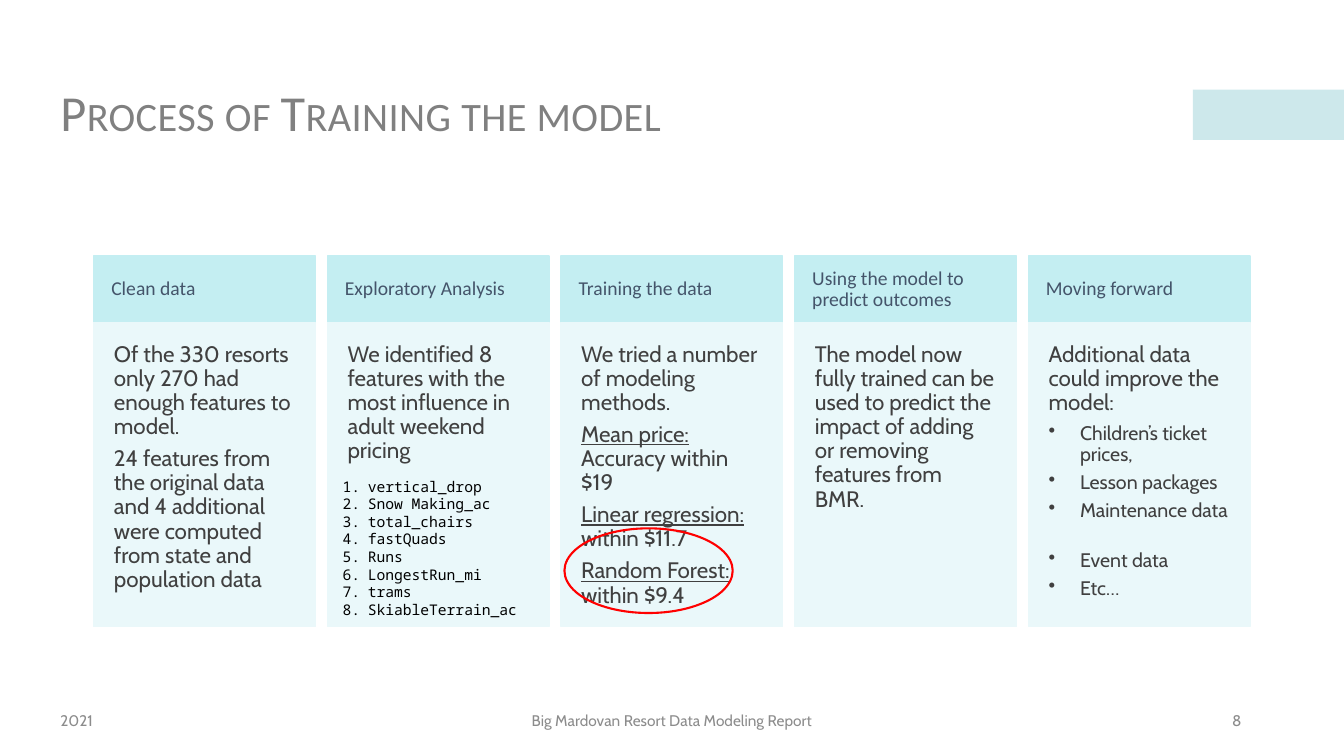
import dataclasses

import pptx
import pptx.dml.color
import pptx.enum.shapes
import pptx.enum.text
import pptx.oxml.ns
import pptx.util
from lxml import etree

Pt = pptx.util.Pt
ALIGN = pptx.enum.text.PP_ALIGN
ANCHOR = pptx.enum.text.MSO_ANCHOR
SHAPE = pptx.enum.shapes.MSO_SHAPE


@dataclasses.dataclass(frozen=True)
class Theme:
    accent: str = "9CD3D9"
    header: str = "C4EEF2"
    body: str = "EAF8FA"
    title_text: str = "808080"
    header_text: str = "44546A"
    body_text: str = "404040"
    footer_text: str = "8C8C8C"
    code_text: str = "000000"
    highlight: str = "FF0000"
    heading_font: str = "Calibri"
    body_font: str = "Cabin"
    code_font: str = "Noto Sans Mono"
    title_size: float = 36
    body_size: float = 16
    small_size: float = 14
    footer_size: float = 11
    code_size: float = 10.5


THEME = Theme()
COLUMN_LEFT, COLUMN_PITCH, COLUMN_WIDTH = 67, 166.9, 158.4
HEADER_TOP, HEADER_HEIGHT, BODY_HEIGHT = 182.9, 47.5, 217.1

STEPS = [
    ("Clean data", [
        [("Of the 330 resorts only 270 had enough features to model.", False)],
        [("24 features from the original data and 4 additional were computed "
          "from state and population data", False)],
    ], []),
    ("Exploratory Analysis", [
        [("We identified 8 features with the most influence in adult weekend "
          "pricing", False)],
    ], []),
    ("Training the data", [
        [("We tried a number of modeling methods.", False)],
        [("Mean price: ", True), ("Accuracy within $19", False)],
        [("Linear regression: ", True), ("within $11.7", False)],
        [("Random Forest: ", True), ("within $9.4", False)],
    ], []),
    ("Using the model to predict outcomes", [
        [("The model now fully trained can be used to predict the impact of "
          "adding or removing features from BMR.", False)],
    ], []),
    ("Moving forward", [
        [("Additional data could improve the model:", False)],
    ], [("Children’s ticket prices,", 0), ("Lesson packages", 0),
        ("Maintenance data", 0), ("Event data", 15.5), ("Etc…", 0)]),
]
FEATURES = ["vertical_drop", "Snow Making_ac", "total_chairs", "fastQuads",
            "Runs", "LongestRun_mi", "trams", "SkiableTerrain_ac"]
FOOTERS = [("2021", 36, 216, ALIGN.LEFT),
           ("Big Mardovan Resort Data Modeling Report", 318, 324, ALIGN.CENTER),
           ("8", 678, 216, ALIGN.RIGHT)]


def set_values(target, values):
    for name, value in values.items():
        setattr(target, name, value)


def colour(code):
    return pptx.dml.color.RGBColor.from_string(code)


def add_block(page, kind, place, fill=None, line=None, width=1):
    block = page.shapes.add_shape(kind, *map(Pt, place))
    block.shadow.inherit = False
    if fill:
        block.fill.solid()
        block.fill.fore_color.rgb = colour(fill)
    else:
        block.fill.background()
    if line:
        block.line.color.rgb = colour(line)
        block.line.width = Pt(width)
    else:
        block.line.fill.background()
    return block


def frame_text(box, anchor, inset=None):
    frame = box.text_frame
    set_values(frame, {"word_wrap": True, "vertical_anchor": anchor})
    if inset is not None:
        sides = ("margin_left", "margin_top", "margin_right", "margin_bottom")
        set_values(frame, dict.fromkeys(sides, Pt(inset)))
    return frame


def add_para(frame, spans, font, size, code, **layout):
    para = frame.paragraphs[0]
    if para.runs:
        para = frame.add_paragraph()
    set_values(para, {"alignment": ALIGN.LEFT, **layout})
    for text, underline in spans:
        span = para.add_run()
        span.text = text
        set_values(span.font, {"name": font, "size": Pt(size), "underline": underline})
        span.font.color.rgb = colour(code)
    return para


def mark_item(para, indent, tag, **attributes):
    properties = para._p.get_or_add_pPr()
    properties.set("marL", str(Pt(indent)))
    properties.set("indent", str(-Pt(indent)))
    etree.SubElement(properties, pptx.oxml.ns.qn(tag), attributes)


def add_accent(page):
    accent = add_block(page, SHAPE.RECTANGLE, (852, 64, 108, 36), THEME.accent)
    tint = accent._element.spPr.find(".//" + pptx.oxml.ns.qn("a:srgbClr"))
    etree.SubElement(tint, pptx.oxml.ns.qn("a:alpha"), val="50000")


def add_title(page, text):
    box = page.shapes.add_textbox(*map(Pt, (36, 30, 888, 104.5)))
    para = add_para(frame_text(box, ANCHOR.MIDDLE), [(text, False)],
                    THEME.heading_font, THEME.title_size, THEME.title_text,
                    line_spacing=0.9)
    properties = para.runs[0]._r.get_or_add_rPr()
    properties.set("cap", "small")
    properties.set("spc", "30")


def add_step(page, index, heading, paragraphs, bullets):
    left = COLUMN_LEFT + index * COLUMN_PITCH
    header = add_block(page, SHAPE.RECTANGLE,
                       (left, HEADER_TOP, COLUMN_WIDTH, HEADER_HEIGHT),
                       THEME.header, THEME.header)
    add_para(frame_text(header, ANCHOR.MIDDLE, 12.5), [(heading, False)],
             THEME.heading_font, THEME.small_size, THEME.header_text,
             line_spacing=0.9)
    body = add_block(page, SHAPE.RECTANGLE,
                     (left, HEADER_TOP + HEADER_HEIGHT, COLUMN_WIDTH, BODY_HEIGHT),
                     THEME.body, THEME.body)
    frame = frame_text(body, ANCHOR.TOP, 14.4)
    for spans in paragraphs:
        add_para(frame, spans, THEME.body_font, THEME.body_size, THEME.body_text,
                 line_spacing=0.9, space_after=Pt(5.6))
    for text, gap in bullets:
        para = add_para(frame, [(text, False)], THEME.body_font, THEME.small_size,
                        THEME.body_text, line_spacing=0.9, space_after=Pt(4.9),
                        space_before=Pt(gap))
        mark_item(para, 22.5, "a:buChar", char="•")


def add_features(page):
    box = page.shapes.add_textbox(*map(Pt, (244.8, 340.6, 136.8, 101.5)))
    frame = frame_text(box, ANCHOR.MIDDLE, 0)
    for feature in FEATURES:
        para = add_para(frame, [(feature, False)], THEME.code_font,
                        THEME.code_size, THEME.code_text)
        mark_item(para, 18, "a:buAutoNum", type="arabicPeriod")


def add_footer(page, text, left, width, alignment):
    box = page.shapes.add_textbox(*map(Pt, (left, 500.4, width, 28.8)))
    add_para(frame_text(box, ANCHOR.MIDDLE), [(text, False)], THEME.body_font,
             THEME.footer_size, THEME.footer_text, alignment=alignment)


def main():
    deck = pptx.Presentation()
    set_values(deck, {"slide_width": Pt(960), "slide_height": Pt(540)})
    page = deck.slides.add_slide(deck.slide_layouts[6])
    add_accent(page)
    add_title(page, "Process of Training the model")
    for index, step in enumerate(STEPS):
        add_step(page, index, *step)
    for footer in FOOTERS:
        add_footer(page, *footer)
    add_features(page)
    add_block(page, SHAPE.OVAL, (403.2, 377.4, 120.2, 60.5),
              line=THEME.highlight, width=1.5)
    deck.save("out.pptx")


if __name__ == "__main__":
    main()
